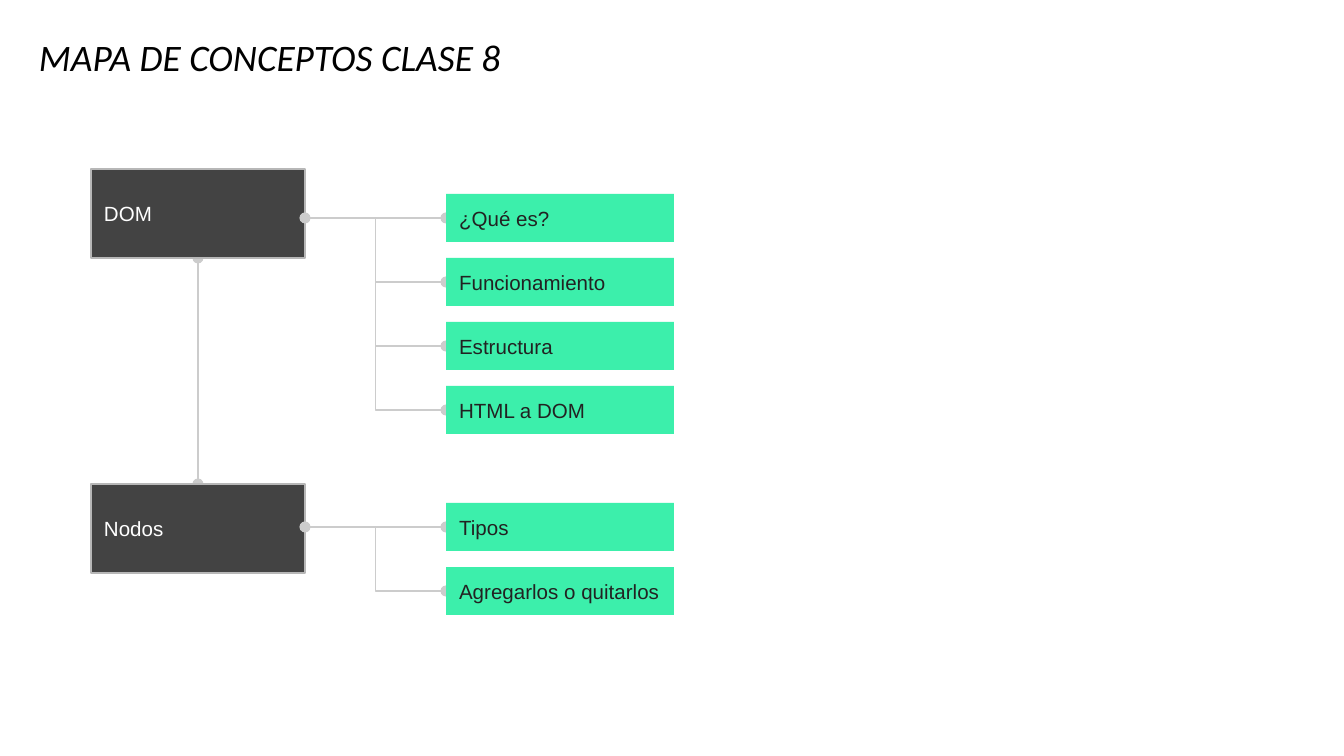
from lxml.etree import SubElement
from pptx import Presentation
from pptx.dml.color import RGBColor
from pptx.enum.shapes import MSO_CONNECTOR as Connector, MSO_SHAPE as Shape
from pptx.enum.text import MSO_ANCHOR as Anchor, MSO_AUTO_SIZE as AutoSize, PP_ALIGN as Align
from pptx.oxml.ns import qn
from pptx.util import Emu, Pt

EMU_PER_PX = 914400 / 134.4
COLORS = {
    "title": "000000",
    "concept": "434343",
    "concept_line": "B7B7B7",
    "concept_text": "FFFFFF",
    "topic": "3CEFAB",
    "topic_text": "222222",
    "link": "CCCCCC",
}

# Grid of the map
INSET = 13
CONCEPT_LEFT, CONCEPT_WIDTH, CONCEPT_HEIGHT = 91, 214, 89
TOPIC_LEFT, TOPIC_WIDTH, TOPIC_HEIGHT, TOPIC_PITCH = 446, 228, 48, 64

# Concept, its top, top of its first topic, topics
BRANCHES = [
    ("DOM", 169, 194, ["¿Qué es?", "Funcionamiento", "Estructura", "HTML a DOM"]),
    ("Nodos", 484, 503, ["Tipos", "Agregarlos o quitarlos"]),
]


def px(value):
    return Emu(round(value * EMU_PER_PX))


def color(name):
    return RGBColor.from_string(COLORS[name])


def write(shape, text, font_name, size, color_name, anchor):
    frame = shape.text_frame
    frame.auto_size = AutoSize.NONE
    frame.word_wrap = True
    frame.vertical_anchor = anchor
    frame.margin_left = frame.margin_right = px(INSET)
    frame.margin_top = frame.margin_bottom = px(INSET)
    paragraph = frame.paragraphs[0]
    paragraph.alignment = Align.LEFT
    run = paragraph.add_run()
    run.text = text
    run.font.name = font_name
    run.font.size = Pt(size)
    run.font.color.rgb = color(color_name)
    return run


def add_title(slide, text):
    title = slide.shapes.title
    title.left, title.top, title.width, title.height = map(px, (26, 30, 1110, 62))
    run = write(title, text, "Calibri", 20, "title", Anchor.BOTTOM)
    run.font.italic = True


def add_box(slide, text, left, top, width, height, style, outline=None):
    box = slide.shapes.add_shape(Shape.RECTANGLE, px(left), px(top), px(width), px(height))
    box.shadow.inherit = False
    box.fill.solid()
    box.fill.fore_color.rgb = color(style)
    if outline:
        box.line.color.rgb = color(outline)
        box.line.width = Pt(0.75)
    else:
        box.line.fill.background()
    write(box, text, "Arial", 11, style + "_text", Anchor.MIDDLE)


def add_link(slide, start, end, kind=Connector.STRAIGHT, start_dot=True):
    link = slide.shapes.add_connector(kind, *map(px, start + end))
    link.line.color.rgb = color("link")
    link.line.width = Pt(0.75)
    line = link.line._get_or_add_ln()
    if start_dot:
        SubElement(line, qn("a:headEnd"), type="oval")
    SubElement(line, qn("a:tailEnd"), type="oval")
    SubElement(link._element.spPr, qn("a:effectLst"))


def add_branch(slide, concept, concept_top, first_top, topics):
    add_box(slide, concept, CONCEPT_LEFT, concept_top, CONCEPT_WIDTH, CONCEPT_HEIGHT,
            "concept", "concept_line")
    start = (CONCEPT_LEFT + CONCEPT_WIDTH, first_top + TOPIC_HEIGHT // 2)
    for index, topic in enumerate(topics):
        top = first_top + index * TOPIC_PITCH
        end = (TOPIC_LEFT, top + TOPIC_HEIGHT // 2)
        if index == 0:
            add_link(slide, start, end)
        else:
            add_link(slide, start, end, Connector.ELBOW, start_dot=False)
        add_box(slide, topic, TOPIC_LEFT, top, TOPIC_WIDTH, TOPIC_HEIGHT, "topic")


def main():
    presentation = Presentation()
    presentation.slide_width, presentation.slide_height = px(1344), px(756)
    slide = presentation.slides.add_slide(presentation.slide_layouts[0])
    subtitle = slide.placeholders[1]._element
    subtitle.getparent().remove(subtitle)

    add_title(slide, "MAPA DE CONCEPTOS CLASE 8")

    # Vertical link between the two concepts
    middle = CONCEPT_LEFT + CONCEPT_WIDTH // 2
    upper_top, lower_top = (branch[1] for branch in BRANCHES)
    add_link(slide, (middle, upper_top + CONCEPT_HEIGHT), (middle, lower_top))

    # Concepts with their topics
    for branch in BRANCHES:
        add_branch(slide, *branch)

    presentation.save("out.pptx")


if __name__ == "__main__":
    main()
